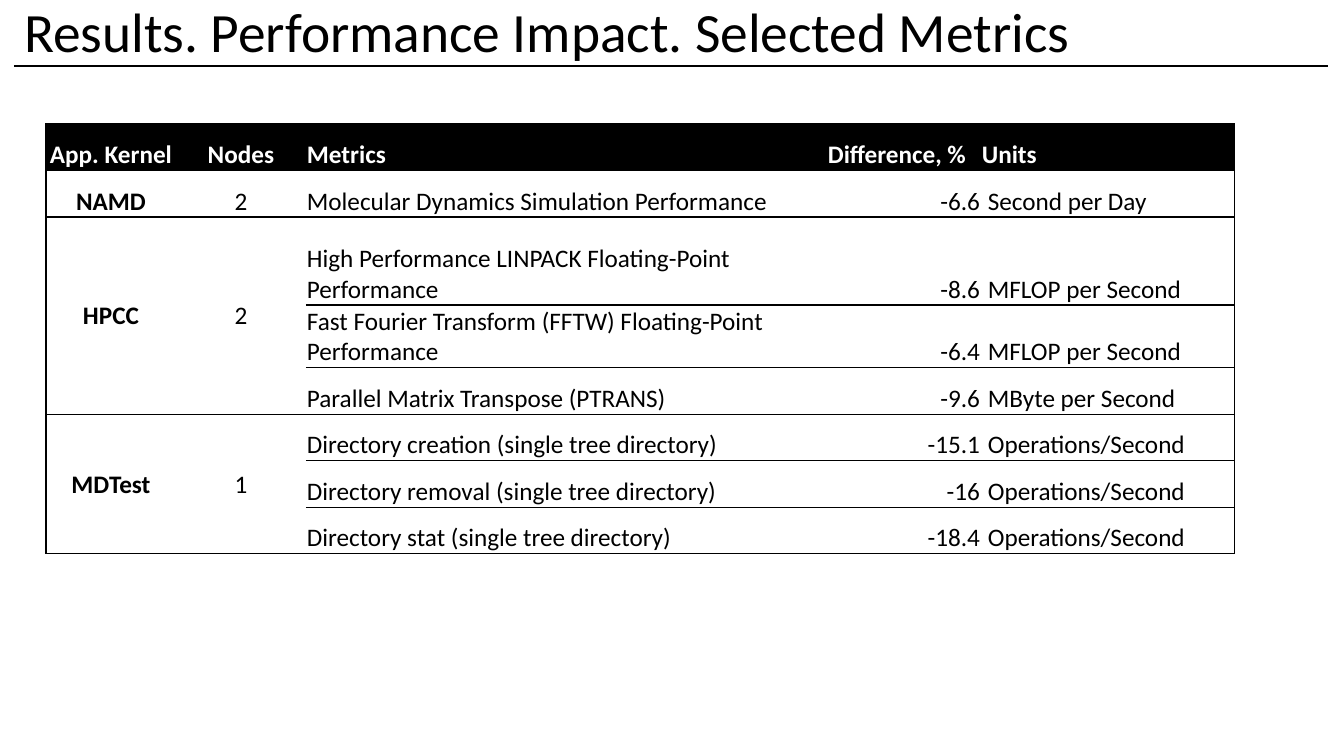
import lxml.etree
import pptx
import pptx.dml.color
import pptx.enum.shapes
import pptx.enum.text
import pptx.oxml.ns
import pptx.util

EMU_PER_PX = 914400 / 100.8
COLORS = {"ink": "000000", "paper": "FFFFFF"}
ALIGN = pptx.enum.text.PP_ALIGN
ANCHOR = pptx.enum.text.MSO_ANCHOR
NO_STYLE_ID = "{2D5ABB26-0587-4C30-8999-92F81FD0307C}"

TITLE = "Results. Performance Impact. Selected Metrics"
HEADER = ["App. Kernel", "Nodes", "Metrics", "Difference, %", "Units"]
KERNELS = [
    ("NAMD", "2", [
        ("Molecular Dynamics Simulation Performance", "-6.6", "Second per Day"),
    ]),
    ("HPCC", "2", [
        ("High Performance LINPACK Floating-Point Performance", "-8.6", "MFLOP per Second"),
        ("Fast Fourier Transform (FFTW) Floating-Point Performance", "-6.4", "MFLOP per Second"),
        ("Parallel Matrix Transpose (PTRANS)", "-9.6", "MByte per Second"),
    ]),
    ("MDTest", "1", [
        ("Directory creation (single tree directory)", "-15.1", "Operations/Second"),
        ("Directory removal (single tree directory)", "-16", "Operations/Second"),
        ("Directory stat (single tree directory)", "-18.4", "Operations/Second"),
    ]),
]
COLUMN_WIDTHS = [130, 130, 521, 154, 254]
ROW_HEIGHTS = [46, 47, 88, 62, 47, 46, 47, 46]
HEADER_ALIGNS = [ALIGN.CENTER, ALIGN.CENTER, ALIGN.LEFT, ALIGN.LEFT, ALIGN.LEFT]
BODY_ALIGNS = [ALIGN.CENTER, ALIGN.CENTER, ALIGN.LEFT, ALIGN.RIGHT, ALIGN.LEFT]


def px(length):
    return pptx.util.Emu(round(length * EMU_PER_PX))


def rgb(name):
    return pptx.dml.color.RGBColor.from_string(COLORS[name])


def apply(target, values):
    for name, value in values.items():
        setattr(target, name, value)


class SlideBuilder:
    font = "Calibri"

    def __init__(self, presentation):
        self.slide = presentation.slides.add_slide(presentation.slide_layouts[5])

    def format_text(self, paragraph, size, color, align, bold=False):
        paragraph.alignment = align
        apply(paragraph.font, {"name": self.font, "size": pptx.util.Pt(size), "bold": bold})
        paragraph.font.color.rgb = rgb(color)

    def title(self, text, left, top, width, height):
        shape = self.slide.shapes.title
        apply(shape, {"left": px(left), "top": px(top), "width": px(width), "height": px(height)})
        frame = shape.text_frame
        frame.text = text
        apply(frame, {"word_wrap": True, "vertical_anchor": ANCHOR.MIDDLE,
                      "auto_size": pptx.enum.text.MSO_AUTO_SIZE.NONE})
        paragraph = frame.paragraphs[0]
        paragraph.line_spacing = 0.9
        self.format_text(paragraph, 39.6, "ink", ALIGN.LEFT)

    def rule(self, left, right, y):
        line = self.slide.shapes.add_connector(
            pptx.enum.shapes.MSO_CONNECTOR.STRAIGHT, px(left), px(y), px(right), px(y))
        line.line.color.rgb = rgb("ink")
        line.line.width = pptx.util.Pt(1.5)
        lxml.etree.SubElement(line._element.spPr, pptx.oxml.ns.qn("a:effectLst"))

    def table(self, left, top, widths, heights):
        """Add an unstyled table with the given column widths and row heights."""
        frame = self.slide.shapes.add_table(
            len(heights), len(widths), px(left), px(top), px(sum(widths)), px(sum(heights)))
        table = frame.table
        apply(table, {"first_row": False, "horz_banding": False})
        table._tbl.tblPr.find(pptx.oxml.ns.qn("a:tableStyleId")).text = NO_STYLE_ID
        for column, width in zip(table.columns, widths):
            column.width = px(width)
        for row, height in zip(table.rows, heights):
            row.height = px(height)
        return table

    def cell(self, cell, text, align, color="ink", fill="paper", bold=False,
             anchor=ANCHOR.BOTTOM, indent=1):
        cell.text = text
        apply(cell, {"margin_left": px(indent), "margin_right": px(1), "margin_top": px(1),
                     "margin_bottom": px(0), "vertical_anchor": anchor})
        self.format_text(cell.text_frame.paragraphs[0], 18, color, align, bold)
        cell.fill.solid()
        cell.fill.fore_color.rgb = rgb(fill)

    def borders(self, cell, sides):
        """Draw the sides named by letters from L, R, T and B, in that order."""
        properties = cell._tc.get_or_add_tcPr()
        for position, side in enumerate(sides):
            line = lxml.etree.Element(pptx.oxml.ns.qn(f"a:ln{side}"), w=str(pptx.util.Pt(1)))
            fill = lxml.etree.SubElement(line, pptx.oxml.ns.qn("a:solidFill"))
            lxml.etree.SubElement(fill, pptx.oxml.ns.qn("a:srgbClr"), val=COLORS["ink"])
            properties.insert(position, line)


def add_results(builder):
    table = builder.table(46, 124, COLUMN_WIDTHS, ROW_HEIGHTS)
    for column, text in enumerate(HEADER):
        builder.cell(table.cell(0, column), text, HEADER_ALIGNS[column], "paper", "ink", True)
    row = 1
    for kernel, nodes, metrics in KERNELS:
        last = row + len(metrics) - 1
        anchor = ANCHOR.MIDDLE if last > row else ANCHOR.BOTTOM
        for column, text in enumerate([kernel, nodes]):
            cell = table.cell(row, column)
            if last > row:
                cell.merge(table.cell(last, column))
            builder.cell(cell, text, BODY_ALIGNS[column], bold=column == 0, anchor=anchor)
        for offset, metric in enumerate(metrics):
            for column, text in enumerate(metric, start=2):
                builder.cell(table.cell(row + offset, column), text, BODY_ALIGNS[column],
                             indent=7 if column == 4 else 1)
        row = last + 1

    last_column = len(HEADER) - 1
    for row in range(len(ROW_HEIGHTS)):
        for column in range(len(HEADER)):
            cell = table.cell(row, column)
            sides = "L" if column == 0 else "R" if column == last_column else ""
            builder.borders(cell, sides + ("" if cell.is_spanned else "TB"))


def main():
    presentation = pptx.Presentation()
    apply(presentation, {"slide_width": px(1344), "slide_height": px(756)})
    builder = SlideBuilder(presentation)
    builder.rule(14, 1328, 66)
    builder.title(TITLE, 14, 5, 1314, 59)
    add_results(builder)
    presentation.save("out.pptx")


if __name__ == "__main__":
    main()
